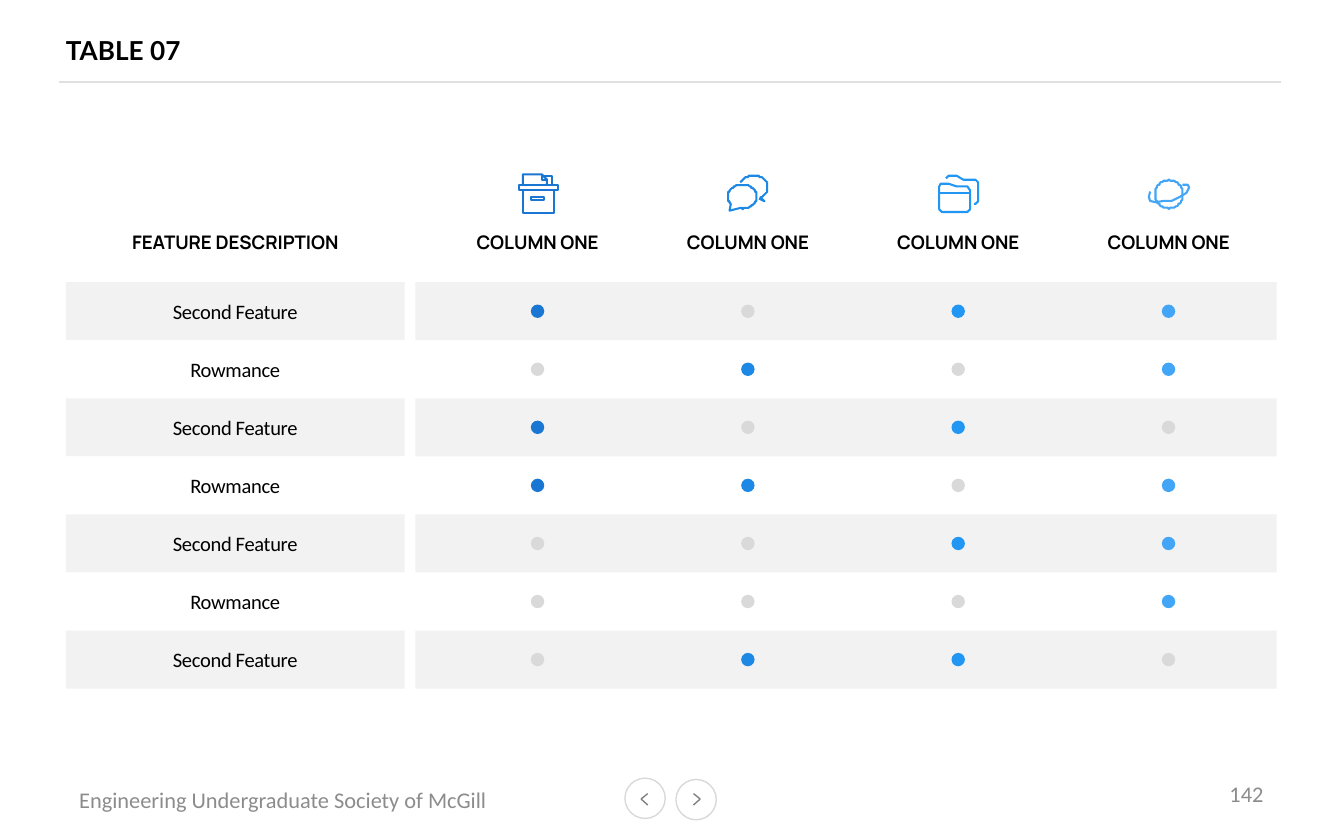
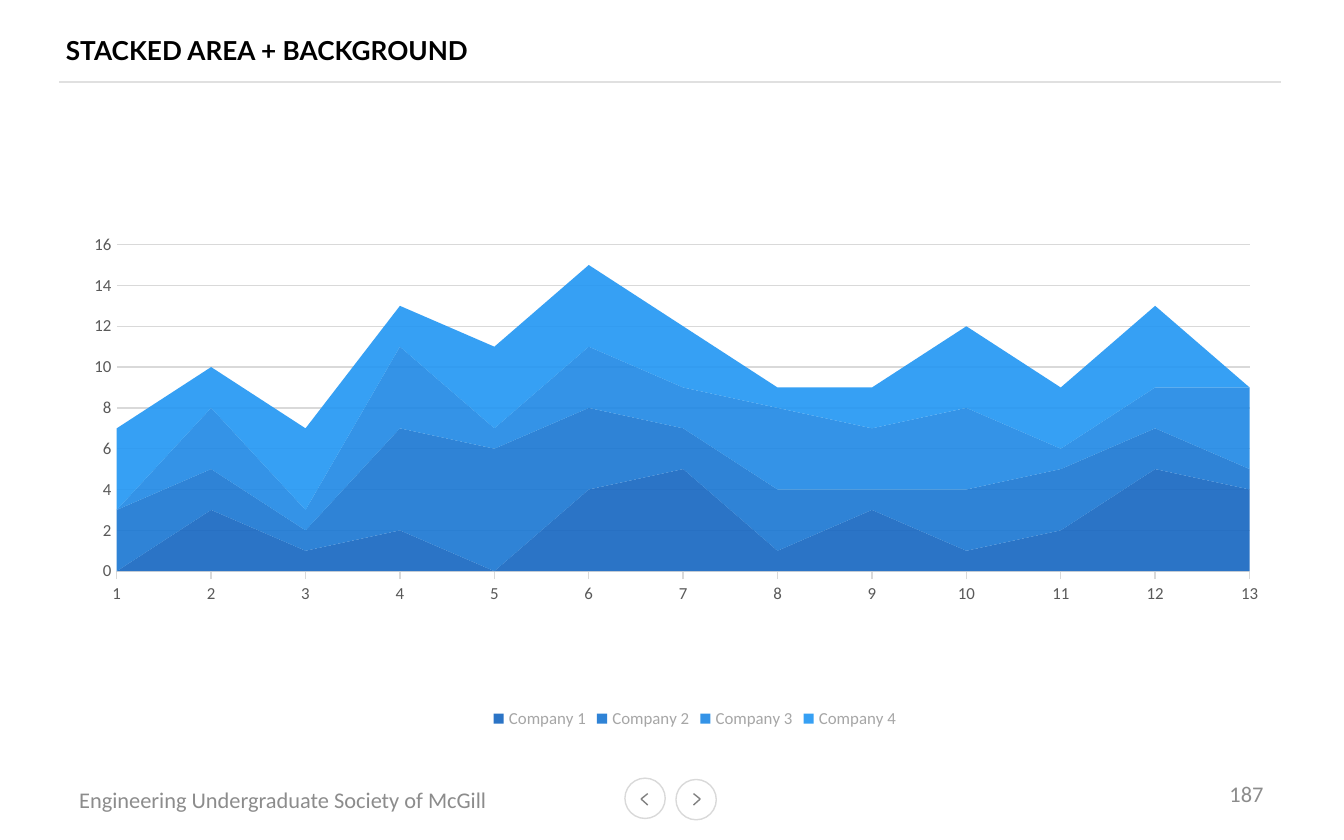
from dataclasses import dataclass
from math import cos, radians, sin

from lxml.etree import SubElement
from pptx import Presentation
from pptx.chart.data import CategoryChartData
from pptx.dml.color import RGBColor
from pptx.enum.chart import XL_CHART_TYPE, XL_LEGEND_POSITION, XL_TICK_MARK
from pptx.enum.shapes import MSO_CONNECTOR, MSO_SHAPE
from pptx.enum.text import MSO_ANCHOR, MSO_AUTO_SIZE, PP_ALIGN
from pptx.oxml.ns import qn
from pptx.util import Inches, Pt


@dataclass(frozen=True)
class Theme:
    black: str = "000000"
    white: str = "FFFFFF"
    band: str = "F2F2F2"
    rule: str = "E0E0E0"
    pale: str = "D9D9D9"
    arrow: str = "808080"
    footer: str = "8C8C8C"
    axis: str = "595959"
    legend: str = "A6A6A6"
    columns: tuple = ("1976D2", "1E88E5", "2196F3", "42A5F5")
    areas: tuple = ("1565C0", "1976D2", "1E88E5", "2196F3")
    title_font: str = "Lato"
    head_font: str = "Manrope"
    body_font: str = "Calibri"
    title_size: float = 14
    footer_size: float = 12
    row_size: float = 11
    head_size: float = 10
    label_size: float = 9
    line: float = 0.75
    icon_line: float = 1.1


THEME = Theme()
CELL = 0.1
LEFT_MARGIN = 4.9
ROW_TOP, ROW_HEIGHT = 21, 4.32
FEATURE_WIDTH = 25.2
MARKS_LEFT, MARKS_WIDTH = 30.9, 64.1
FIRST_CENTER, COLUMN_STEP = 40, 15.65
DOT = 1
FEATURES = ("Second Feature", "Rowmance")
MARKS = ("X.XX", ".X.X", "X.X.", "XX.X", "..XX", "...X", ".XX.")
SERIES = {
    "Company 1": (0, 3, 1, 2, 0, 4, 5, 1, 3, 1, 2, 5, 4),
    "Company 2": (3, 2, 1, 5, 6, 4, 2, 3, 1, 3, 3, 2, 1),
    "Company 3": (0, 3, 1, 4, 1, 3, 2, 4, 3, 4, 1, 2, 4),
    "Company 4": (4, 2, 4, 2, 4, 4, 3, 1, 2, 4, 3, 4, 0),
}
PLOT_SHARES = {"x": 0.101, "y": 0.184, "w": 0.782, "h": 0.545}


def grid(*cells):
    return [Inches(cell * CELL) for cell in cells]


def rgb(value):
    return RGBColor.from_string(value)


def assign(target, values):
    for name, value in values.items():
        setattr(target, name, value)


def style_font(font, name, size, color, bold=False):
    assign(font, {"name": name, "size": Pt(size), "bold": bold})
    font.color.rgb = rgb(color)


def write(box, text, font, align=PP_ALIGN.LEFT, spacing=None, **frame_format):
    frame = box.text_frame
    assign(frame, {"word_wrap": True, "vertical_anchor": MSO_ANCHOR.MIDDLE} | frame_format)
    para = frame.paragraphs[0]
    para.alignment = align
    span = para.add_run()
    span.text = text
    style_font(span.font, *font)
    if spacing:
        span.font._element.set("spc", str(spacing))


def add_text(page, area, text, font, align=PP_ALIGN.LEFT, **frame_format):
    write(page.shapes.add_textbox(*grid(*area)), text, font, align, **frame_format)


def add_shape(page, kind, area, fill, line=None):
    shape = page.shapes.add_shape(kind, *grid(*area))
    shape.shadow.inherit = False
    shape.fill.solid()
    shape.fill.fore_color.rgb = rgb(fill)
    if line:
        shape.line.color.rgb = rgb(line)
        shape.line.width = Pt(THEME.line)
    else:
        shape.line.fill.background()
    return shape


def add_line(page, start, end, color):
    line = page.shapes.add_connector(MSO_CONNECTOR.STRAIGHT, *grid(*start, *end))
    line.line.color.rgb = rgb(color)
    line.line.width = Pt(THEME.line)
    SubElement(line._element.spPr, qn("a:effectLst"))


def add_navigation(page):
    for left, top, tip, tail in ((46.5, 57.9, 47.7, 48.2), (50.3, 58, 52.1, 51.6)):
        add_shape(page, MSO_SHAPE.OVAL, (left, top, 3, 3), THEME.white, THEME.pale)
        for end in (59.05, 59.9):
            add_line(page, (tip, 59.45), (tail, end), THEME.arrow)


def add_page(deck, title, number):
    page = deck.slides.add_slide(deck.slide_layouts.get_by_name("Title Only"))
    footer_font = (THEME.body_font, THEME.footer_size, THEME.footer)
    add_line(page, (95.3, 6.1), (4.4, 6.1), THEME.rule)
    add_text(page, (LEFT_MARGIN, 58, 33.9, 3),
             "Engineering Undergraduate Society of McGill", footer_font)
    add_navigation(page)
    heading = page.shapes.title
    assign(heading, dict(zip(("left", "top", "width", "height"),
                             grid(LEFT_MARGIN, 1.6, 66.7, 4.3))))
    margins = dict.fromkeys(("margin_left", "margin_top", "margin_right", "margin_bottom"), 0)
    write(heading, title, (THEME.title_font, THEME.title_size, THEME.black, True),
          auto_size=MSO_AUTO_SIZE.NONE, **margins)
    add_text(page, (71.7, 57.4, 23.3, 3.3), number, footer_font, PP_ALIGN.RIGHT)
    return page


def arc(center_x, center_y, radius_x, radius_y, start, end, step=5):
    return [(center_x + radius_x * cos(radians(angle)), center_y + radius_y * sin(radians(angle)))
            for angle in range(start, end + 1, step)]


def closed(points):
    return points + points[:1]


def archive_strokes():
    return [
        closed([(1, 9), (30, 9), (30, 13), (1, 13)]),
        [(3.5, 13), (3.5, 30), (27, 30), (27, 13)],
        closed([(10.5, 17.5), (20.5, 17.5), (20.5, 20.5), (10.5, 20.5)]),
        [(4.5, 9), (4.5, 0.7), (17.5, 0.7), (21.5, 5), (21.5, 9)],
        [(17.5, 0.7), (17.5, 5), (21.5, 5)],
        [(18.5, 1.5), (25.5, 1.5), (25.5, 9)],
    ]


def chat_strokes():
    return [
        closed(arc(11.5, 16.5, 10.7, 9, 145, 460) + [(2.5, 27.3)]),
        arc(20, 9.5, 10.5, 8.7, 205, 420) + [(28.5, 20), (24.5, 18.5)],
    ]


def folder_strokes():
    return [
        closed([(0.8, 9), (2.5, 6.8), (8, 6.8), (14, 9.3), (22, 9.3), (24.2, 11.5),
                (24.2, 25.5), (22, 27.5), (2.8, 27.5), (0.8, 25.5)]),
        [(0.8, 13.5), (24.2, 13.5)],
        [(6, 3.3), (8, 0.8), (14, 0.8), (19, 3.5), (28, 3.5), (30, 5.5),
         (30, 20), (28, 22), (27, 22)],
    ]


def planet_strokes():
    return [
        arc(16, 11, 10.5, 10.5, 0, 360),
        [(2.5, 9), (0.8, 13), (2, 15.5), (6, 16.7), (12, 16.5), (18, 15.5),
         (24, 13.2), (29, 9.5), (31, 6.5), (30, 4.3), (26, 3.5)],
    ]


def add_icon(page, left, top, strokes, color):
    builder = page.shapes.build_freeform(*strokes[0][0], scale=Inches(CELL / 10))
    for index, stroke in enumerate(strokes):
        if index:
            builder.move_to(*stroke[0])
        builder.add_line_segments(stroke[1:], close=False)
    left_edge = min(x for stroke in strokes for x, _ in stroke)
    top_edge = min(y for stroke in strokes for _, y in stroke)
    icon = builder.convert_to_shape()
    icon.left, icon.top = grid(left + left_edge / 10, top + top_edge / 10)
    icon.shadow.inherit = False
    icon.fill.background()
    icon.line.color.rgb = rgb(color)
    icon.line.width = Pt(THEME.icon_line)


def add_heading(page, center, width, text):
    add_text(page, (center - width / 2, 16.7, width, 2.7), text,
             (THEME.head_font, THEME.head_size, THEME.black, True), PP_ALIGN.CENTER,
             word_wrap=False, vertical_anchor=MSO_ANCHOR.TOP)


def add_feature_row(page, index, marks):
    top = ROW_TOP + index * ROW_HEIGHT
    fill = THEME.white if index % 2 else THEME.band
    if fill == THEME.band:
        add_shape(page, MSO_SHAPE.RECTANGLE, (MARKS_LEFT, top, MARKS_WIDTH, ROW_HEIGHT), fill)
    label = add_shape(page, MSO_SHAPE.RECTANGLE, (LEFT_MARGIN, top, FEATURE_WIDTH, ROW_HEIGHT), fill)
    write(label, FEATURES[index % 2], (THEME.body_font, THEME.row_size, THEME.black),
          PP_ALIGN.CENTER, spacing=-20)
    for column, mark in enumerate(marks):
        left = FIRST_CENTER + column * COLUMN_STEP - DOT / 2
        color = THEME.columns[column] if mark == "X" else THEME.pale
        add_shape(page, MSO_SHAPE.OVAL, (left, top + (ROW_HEIGHT - DOT) / 2, DOT, DOT), color)


def add_feature_table(page):
    icons = ((38.5, 12.9, archive_strokes()), (54.1, 13, chat_strokes()),
             (69.8, 13, folder_strokes()), (85.4, 13.3, planet_strokes()))
    add_heading(page, LEFT_MARGIN + FEATURE_WIDTH / 2, 17.9, "FEATURE DESCRIPTION")
    for column, (icon, color) in enumerate(zip(icons, THEME.columns)):
        add_icon(page, *icon, color)
        add_heading(page, FIRST_CENTER + column * COLUMN_STEP, 11.4, "COLUMN ONE")
    for index, marks in enumerate(MARKS):
        add_feature_row(page, index, marks)


def fix_plot(chart):
    plot_area = chart.element.xpath(".//c:plotArea")[0]
    for layout in plot_area.findall(qn("c:layout")):
        plot_area.remove(layout)
    layout = plot_area.makeelement(qn("c:layout"))
    plot_area.insert(0, layout)
    manual = SubElement(layout, qn("c:manualLayout"))
    settings = {"layoutTarget": "inner", "xMode": "edge", "yMode": "edge"} | PLOT_SHARES
    for name, value in settings.items():
        SubElement(manual, qn(f"c:{name}")).set("val", str(value))
    for crossing in plot_area.xpath(".//c:crossBetween"):
        crossing.set("val", "midCat")


def style_axes(chart):
    across, up = chart.category_axis, chart.value_axis
    for axis in (across, up):
        style_font(axis.tick_labels.font, THEME.body_font, THEME.label_size, THEME.axis)
        axis.minor_tick_mark = XL_TICK_MARK.NONE
    across.major_tick_mark = XL_TICK_MARK.OUTSIDE
    assign(up, {"minimum_scale": 0, "maximum_scale": 16, "major_unit": 2,
                "has_major_gridlines": True, "major_tick_mark": XL_TICK_MARK.NONE})
    for target in (across, up.major_gridlines):
        target.format.line.color.rgb = rgb(THEME.pale)
        target.format.line.width = Pt(THEME.line)
    up.format.line.fill.background()


def add_area_chart(page):
    data = CategoryChartData()
    data.categories = [str(number) for number in range(1, 14)]
    for name, values in SERIES.items():
        data.add_series(name, values)
    chart = page.shapes.add_chart(XL_CHART_TYPE.AREA_STACKED,
                                  *grid(-2.2, 10, 107.8, 44.6), data).chart
    style_font(chart.font, THEME.body_font, THEME.head_size, THEME.black)
    assign(chart, {"has_title": False, "has_legend": True})
    assign(chart.legend, {"position": XL_LEGEND_POSITION.BOTTOM, "include_in_layout": False})
    style_font(chart.legend.font, THEME.body_font, THEME.label_size, THEME.legend)
    chart.plots[0].vary_by_categories = False
    style_axes(chart)
    for series, color in zip(chart.plots[0].series, THEME.areas):
        series.format.fill.solid()
        series.format.fill.fore_color.rgb = rgb(color)
        series.format.line.fill.background()
    for color in chart.element.xpath(".//c:ser/c:spPr/a:solidFill/a:srgbClr"):
        SubElement(color, qn("a:alpha")).set("val", "90000")
    fix_plot(chart)


def main():
    deck = Presentation()
    deck.slide_width, deck.slide_height = grid(100, 62.5)
    add_feature_table(add_page(deck, "TABLE 07", "142"))
    add_area_chart(add_page(deck, "STACKED AREA + BACKGROUND", "187"))
    deck.save("out.pptx")


if __name__ == "__main__":
    main()
